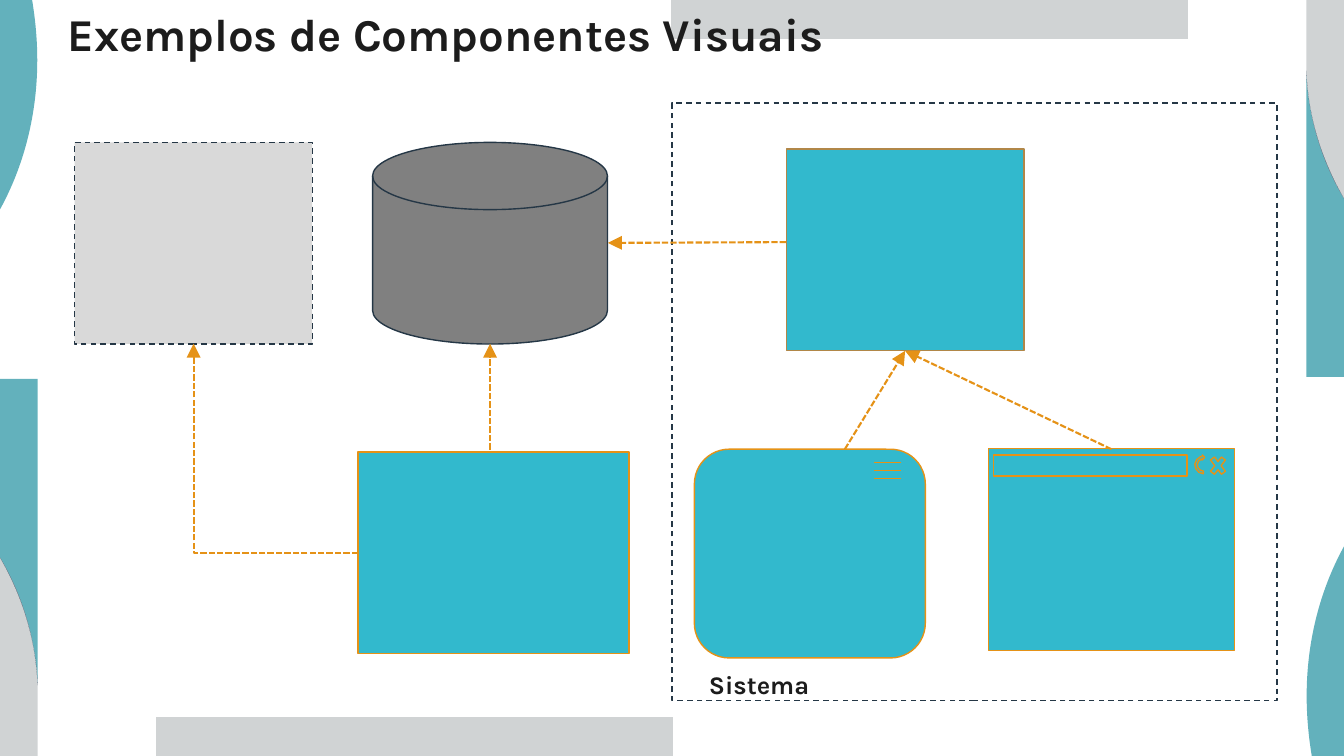
import dataclasses

import pptx
import pptx.dml.color
import pptx.enum.dml
import pptx.enum.shapes
import pptx.enum.text
import pptx.oxml
import pptx.oxml.ns
import pptx.util

Cm = pptx.util.Cm
Kind = pptx.enum.shapes.MSO_SHAPE
Dash = pptx.enum.dml.MSO_LINE
Align = pptx.enum.text.PP_ALIGN
qn = pptx.oxml.ns.qn
WIDE, HIGH = 33.87, 19.05


@dataclasses.dataclass
class Theme:
    font: str = "Karla"
    ink: str = "1C1C1C"
    navy: str = "253746"
    deep: str = "1F2A44"
    teal: str = "63B1BC"
    mist: str = "D0D3D4"
    cyan: str = "32B9CD"
    amber: str = "E59217"
    bronze: str = "B18748"
    gray: str = "808080"
    pale: str = "D9D9D9"
    title: float = 32.5
    label: float = 18.1
    thin: float = 1
    thick: float = 1.5


def color(code):
    return pptx.dml.color.RGBColor.from_string(code)


def make(tag, extra=""):
    return pptx.oxml.parse_xml(f"<a:{tag} {pptx.oxml.ns.nsdecls('a')} {extra}/>")


def turn(steps):
    return [[(WIDE - x, HIGH - y) for x, y in step] for step in steps]


class Board:
    def __init__(self, slide, theme):
        self.slide = slide
        self.theme = theme
        self.pen = slide.shapes

    def group(self):
        self.pen = self.slide.shapes.add_group_shape().shapes

    def leave(self):
        self.pen = self.slide.shapes

    def paint(self, shape, fill, line, dash=None):
        shape.shadow.inherit = False
        if fill:
            shape.fill.solid()
            shape.fill.fore_color.rgb = color(fill)
        else:
            shape.fill.background()
        if line:
            self.stroke(shape.line, line, self.theme.thin, dash)
        else:
            shape.line.fill.background()

    def stroke(self, line, code, width, dash=None):
        line.color.rgb = color(code)
        line.width = pptx.util.Pt(width)
        if dash:
            line.dash_style = dash

    def free(self, steps, fill):
        spots = [(Cm(x), Cm(y)) for step in steps for x, y in step]
        build = self.pen.build_freeform(*spots[0])
        build.add_line_segments(spots[1:], close=True)
        item = build.convert_to_shape()
        edges = iter(list(item._element.iter(qn("a:lnTo"))))
        for step in steps[1:]:
            lines = [next(edges) for _ in step]
            if len(lines) == 3:
                bow = make("cubicBezTo")
                lines[0].addprevious(bow)
                for line in lines:
                    bow.append(line[0])
                    line.getparent().remove(line)
        self.paint(item, fill, None)

    def shape(self, kind, box, fill, line, dash=None, spin=0):
        item = self.pen.add_shape(kind, *map(Cm, box))
        item.rotation = spin
        self.paint(item, fill, line, dash)

    def link(self, start, end):
        kind = pptx.enum.shapes.MSO_CONNECTOR.STRAIGHT
        item = self.pen.add_connector(kind, *map(Cm, start + end))
        self.stroke(item.line, self.theme.amber, self.theme.thin)
        item._element.spPr.append(make("effectLst"))
        return item

    def arrow(self, start, end):
        item = self.link(start, end)
        self.stroke(item.line, self.theme.amber, self.theme.thick, Dash.SQUARE_DOT)
        head = make("tailEnd", 'type="triangle" w="lg" len="lg"')
        item._element.spPr.find(qn("a:ln")).append(head)
        return item

    def bend(self, start, end):
        props = self.arrow(end, start)._element.spPr
        props.find(qn("a:prstGeom")).set("prst", "bentConnector2")
        props.find(qn("a:xfrm")).set("rot", "10800000")

    def text(self, words, box, size, align=Align.LEFT, space=1.0):
        frame = self.pen.add_textbox(*map(Cm, box)).text_frame
        frame.word_wrap = True
        para = frame.paragraphs[0]
        para.text = words
        para.alignment = align
        para.line_spacing = space
        para.font.name = self.theme.font
        para.font.size = pptx.util.Pt(size)
        para.font.bold = True
        para.font.color.rgb = color(self.theme.ink)


def decor(board):
    look = board.theme
    rise = [(33.32, 4.06), (32.97, 2.97), (32.92, 1.8)]
    fall = [(32.97, 2.95), (33.3, 4.04), (33.87, 5)]
    parts = [
        ([[(0.81, 0)], [(0, 0)], [(0, 5.28)],
          [(0.61, 4.17), (0.94, 2.87), (0.94, 1.52)],
          [(0.94, 0.99), (0.89, 0.48), (0.81, 0)]], look.teal),
        ([[(16.92, 0)], [(29.93, 0)], [(29.93, 0.99)], [(16.92, 0.99)]], look.mist),
        ([[(32.92, 1.8)], [(32.92, 9.5)], [(33.87, 9.5)], [(33.87, 5)], rise],
         look.teal),
        ([[(33.87, 5)], [(33.87, 0)], [(32.92, 0)], [(32.92, 1.78)], fall],
         look.mist),
        ([[(32.92, 1.78)], fall, rise], look.deep),
    ]
    board.group()
    for steps, fill in parts:
        board.free(steps, fill)
    for steps, fill in parts:
        board.free(turn(steps), fill)
    board.leave()


def window(board):
    look = board.theme
    board.group()
    board.shape(Kind.RECTANGLE, (24.91, 11.31, 6.2, 5.08), look.cyan, look.amber)
    board.shape(Kind.RECTANGLE, (25.04, 11.47, 4.88, 0.53), None, look.amber)
    board.shape(Kind.MATH_MULTIPLY, (30.43, 11.39, 0.53, 0.69), None, look.amber)
    board.shape(Kind.CIRCULAR_ARROW, (30.09, 11.45, 0.51, 0.53), None, look.amber,
                spin=275)
    board.leave()


def mobile(board):
    look = board.theme
    board.group()
    board.shape(Kind.ROUNDED_RECTANGLE, (17.5, 11.32, 5.82, 5.26), look.cyan,
                look.amber)
    for i in range(3):
        y = 11.66 + 0.2 * i
        board.link((22.02, y), (22.71, y))
    board.leave()


def main():
    deck = pptx.Presentation()
    deck.slide_width, deck.slide_height = Cm(WIDE), Cm(HIGH)
    look = Theme()
    board = Board(deck.slides.add_slide(deck.slide_layouts[6]), look)
    decor(board)
    board.text("Exemplos de Componentes Visuais", (1.45, 0.18, 30.18, 1.93),
               look.title, space=0.9)
    board.shape(Kind.RECTANGLE, (16.94, 2.6, 15.24, 15.06), None, look.navy,
                Dash.DASH)
    board.shape(Kind.FLOWCHART_MAGNETIC_DISK, (9.39, 3.59, 5.92, 5.08), look.gray,
                look.navy)
    board.arrow((20.02, 6.1), (15.32, 6.12))
    board.shape(Kind.RECTANGLE, (19.82, 3.76, 5.99, 5.08), look.cyan, look.bronze)
    window(board)
    board.shape(Kind.RECTANGLE, (9.02, 11.39, 6.83, 5.08), look.cyan, look.amber)
    board.arrow((12.35, 11.33), (12.35, 8.66))
    mobile(board)
    board.arrow((21.29, 11.32), (22.81, 8.84))
    board.shape(Kind.RECTANGLE, (1.88, 3.59, 5.99, 5.08), look.pale, look.navy,
                Dash.DASH)
    board.bend((9.02, 13.93), (4.88, 8.66))
    board.text("Sistema", (15.89, 16.74, 6.48, 1.04), look.label, Align.CENTER)
    board.arrow((28.01, 11.32), (22.81, 8.84))
    deck.save("out.pptx")


if __name__ == "__main__":
    main()
